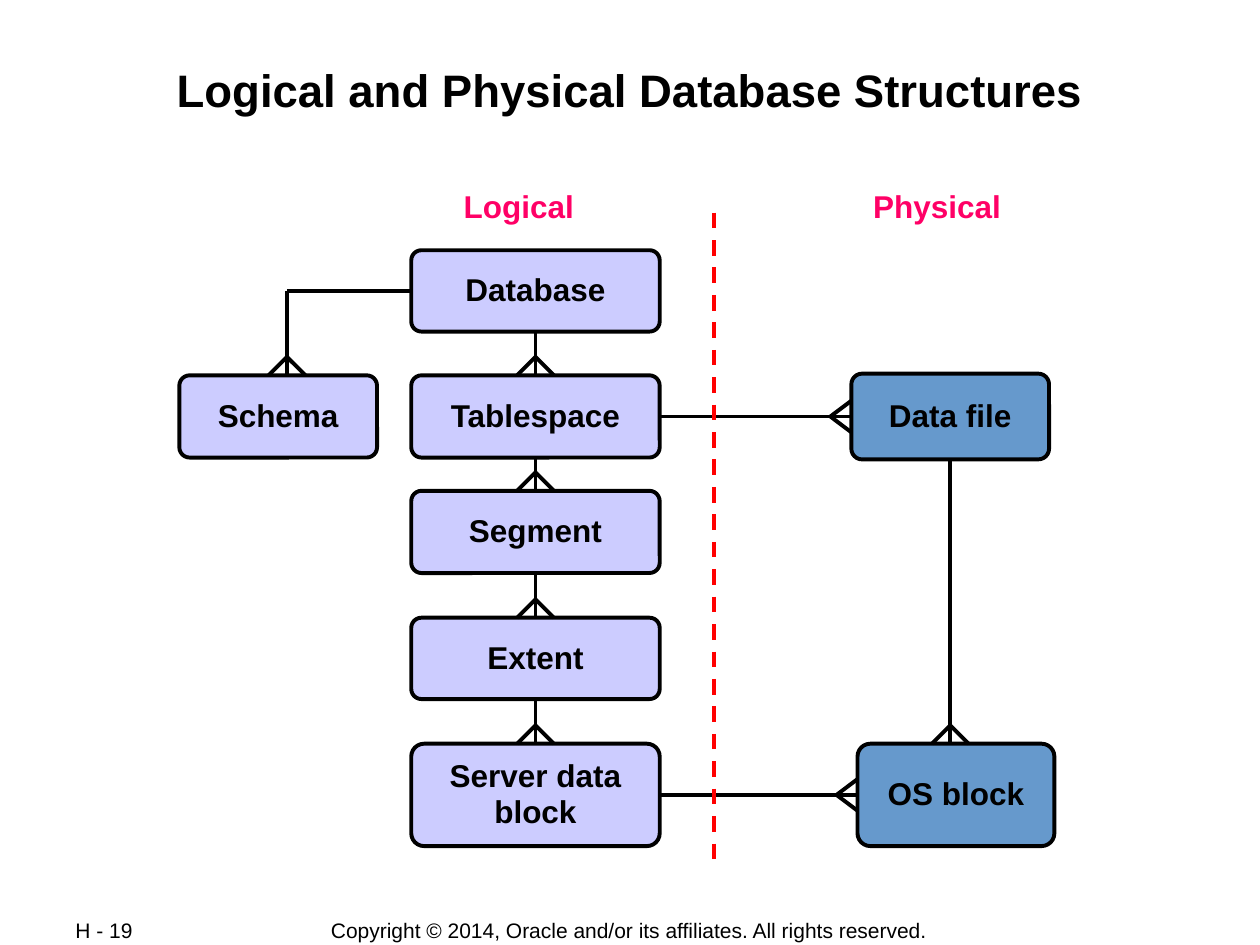
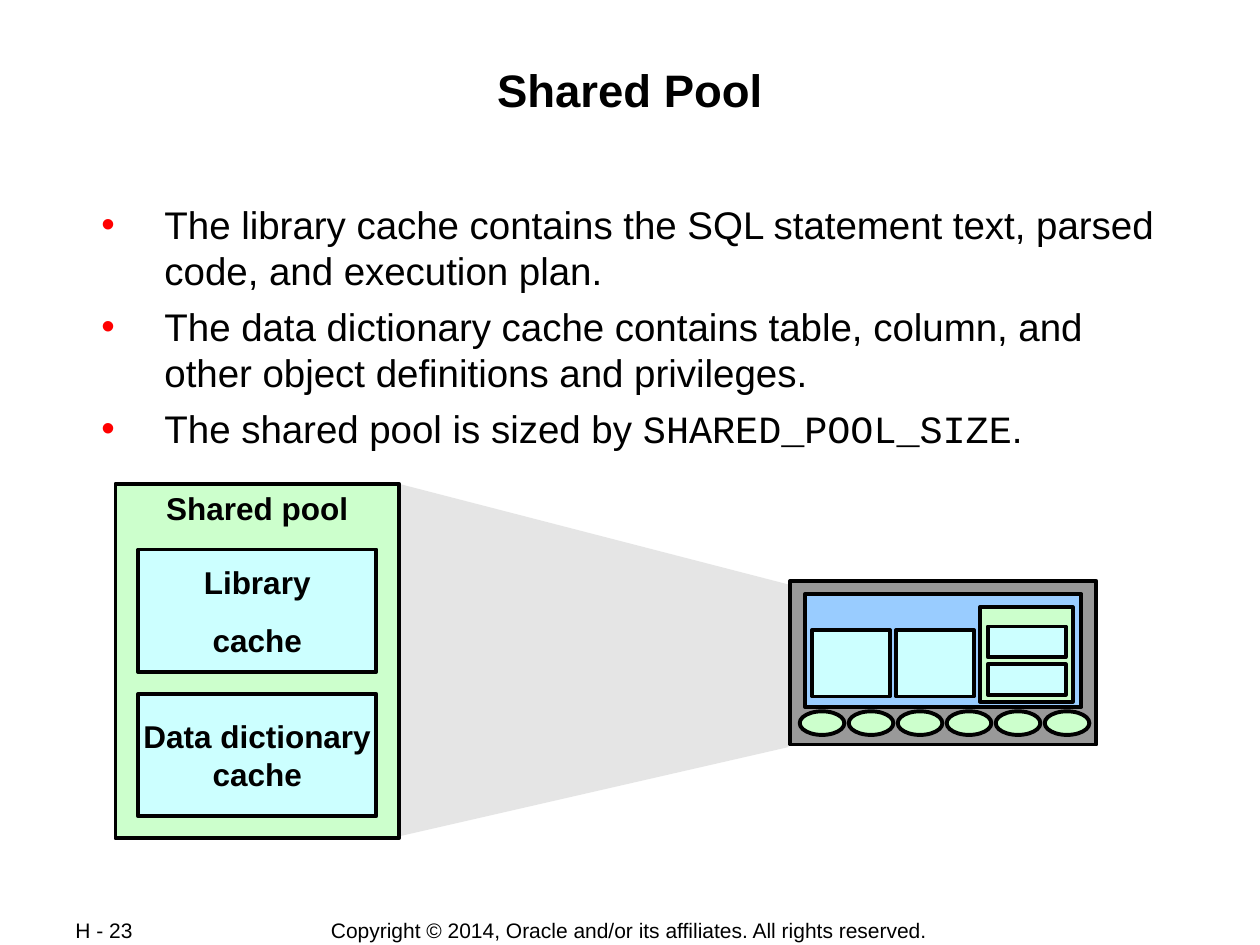
from lxml.etree import SubElement
from pptx import Presentation
from pptx.dml.color import RGBColor
from pptx.enum.dml import MSO_LINE
from pptx.enum.shapes import MSO_CONNECTOR, MSO_SHAPE
from pptx.enum.text import MSO_ANCHOR, MSO_AUTO_SIZE, PP_ALIGN
from pptx.oxml.ns import qn
from pptx.util import Pt

COLORS = {
    "black": "000000", "red": "FF0000", "heading": "FF0066",
    "logical": "CCCCFF", "physical": "6699CC", "beam": "CCCCCC",
    "green": "CCFFCC", "cyan": "CCFFFF", "server": "999999", "memory": "99CCFF",
}
COLORS = {name: RGBColor.from_string(value) for name, value in COLORS.items()}
FONT = "Arial"
LINE_WIDTH = Pt(2.25)


def add_box(shapes, kind, left, top, width, height, fill=None, text="", size=18, bold=True,
            color="black", align=PP_ALIGN.CENTER, anchor=MSO_ANCHOR.MIDDLE, wrap=False,
            spacing=1.0, space_before=0):
    bounds = [Pt(value) for value in (left, top, width, height)]
    if kind is None:
        shape = shapes.add_textbox(*bounds)
    else:
        shape = shapes.add_shape(kind, *bounds)
        shape.shadow.inherit = False
        shape.fill.solid()
        shape.fill.fore_color.rgb = COLORS[fill]
        shape.line.color.rgb = COLORS["black"]
        shape.line.width = LINE_WIDTH
    if text:
        frame = shape.text_frame
        frame.text = text
        frame.word_wrap = wrap
        frame.vertical_anchor = anchor
        for index, paragraph in enumerate(frame.paragraphs):
            paragraph.alignment = align
            paragraph.line_spacing = spacing
            paragraph.space_before = Pt(space_before if index else 0)
            paragraph.font.name = FONT
            paragraph.font.size = Pt(size)
            paragraph.font.bold = bold
            paragraph.font.color.rgb = COLORS[color]
    return shape


def add_line(shapes, x1, y1, x2, y2, color="black"):
    line = shapes.add_connector(MSO_CONNECTOR.STRAIGHT, Pt(x1), Pt(y1), Pt(x2), Pt(y2))
    SubElement(line._element.spPr, qn("a:effectLst"))
    line.line.color.rgb = COLORS[color]
    line.line.width = LINE_WIDTH
    return line


presentation = Presentation()
presentation.slide_width = Pt(720)
presentation.slide_height = Pt(540)

slides = []
for layout_index, title_text, page in [
    (5, "Logical and Physical Database Structures", "H - 19"),
    (1, "Shared Pool", "H - 23"),
]:
    slide = presentation.slides.add_slide(presentation.slide_layouts[layout_index])
    slides.append(slide)
    title = slide.shapes.title
    title.left, title.top, title.width, title.height = Pt(48), Pt(34.5), Pt(624), Pt(69)
    frame = title.text_frame
    frame.text = title_text
    frame.auto_size = MSO_AUTO_SIZE.NONE
    frame.vertical_anchor = MSO_ANCHOR.TOP
    frame.margin_left = frame.margin_right = frame.margin_top = frame.margin_bottom = Pt(1)
    paragraph = frame.paragraphs[0]
    paragraph.alignment = PP_ALIGN.CENTER
    paragraph.font.name = FONT
    paragraph.font.size = Pt(26)
    paragraph.font.bold = True
    paragraph.font.color.rgb = COLORS["black"]
    add_box(slide.shapes, None, 169.5, 524, 380, 15, size=12, bold=False, wrap=True,
            text="Copyright © 2014, Oracle and/or its affiliates. All rights reserved.")
    add_box(slide.shapes, None, 36, 524, 76, 15, text=page, size=12, bold=False,
            align=PP_ALIGN.LEFT, wrap=True)

structure_slide, pool_slide = slides

shapes = structure_slide.shapes
for heading, left, width in [("Logical", 257.5, 78), ("Physical", 491.5, 88)]:
    add_box(shapes, None, left, 106.5, width, 26, text=heading, color="heading",
            anchor=MSO_ANCHOR.TOP, spacing=0.85)

nodes = {}
for name, left, top, width, height, fill in [
    ("Database", 235, 143, 142, 46.5, "logical"),
    ("Tablespace", 235, 214.5, 142, 47, "logical"),
    ("Segment", 235, 280.5, 142, 47, "logical"),
    ("Extent", 235, 353, 142, 46.5, "logical"),
    ("Server data\vblock", 235, 425, 142, 58.5, "logical"),
    ("Schema", 102.5, 214.5, 113, 47, "logical"),
    ("Data file", 486.5, 213.5, 113, 49, "physical"),
    ("OS block", 490, 425, 112.5, 58.5, "physical"),
]:
    node = add_box(shapes, MSO_SHAPE.ROUNDED_RECTANGLE, left, top, width, height, fill, name,
                   spacing=0.95)
    node.adjustments[0] = 0.125
    frame = node.text_frame
    frame.margin_left = frame.margin_right = frame.margin_top = frame.margin_bottom = Pt(3.6)
    nodes[name] = node

database, tablespace, segment, extent, data_block, schema, data_file, os_block = nodes.values()
column = [database, tablespace, segment, extent, data_block]
links = [(upper, 2, lower, 0) for upper, lower in zip(column, column[1:])]
links += [(tablespace, 3, data_file, 1), (data_block, 3, os_block, 1)]
for begin, begin_side, end, end_side in links:
    link = add_line(shapes, 0, 0, 0, 0)
    link.begin_connect(begin, begin_side)
    link.end_connect(end, end_side)

schema_x, file_x = 164, 543
elbow_y = database.top.pt + database.height.pt / 2
add_line(shapes, 235, elbow_y, schema_x, elbow_y).begin_connect(database, 1)
add_line(shapes, schema_x, elbow_y, schema_x, schema.top.pt)
add_line(shapes, file_x, 262.5, file_x, 425).begin_connect(data_file, 2)

crow_feet = [(node.left.pt + node.width.pt / 2, node.top.pt) for node in column[1:]]
crow_feet += [(schema_x, schema.top.pt), (file_x, os_block.top.pt)]
outlines = [[(x - 10.5, y), (x, y - 10.5), (x + 10.5, y)] for x, y in crow_feet]
for node in (data_file, os_block):
    x, y = node.left.pt, node.top.pt + node.height.pt / 2
    outlines.append([(x, y - 9), (x - 12, y), (x, y + 9)])
for outline in outlines:
    points = [(Pt(x), Pt(y)) for x, y in outline]
    builder = shapes.build_freeform(*points[0])
    builder.add_line_segments(points[1:], close=False)
    crow_foot = builder.convert_to_shape()
    crow_foot.shadow.inherit = False
    crow_foot.fill.background()
    crow_foot.line.color.rgb = COLORS["black"]
    crow_foot.line.width = LINE_WIDTH

divider = add_line(shapes, 408, 121.5, 408, 494, "red")
divider.line.dash_style = MSO_LINE.DASH

shapes = pool_slide.shapes
body = pool_slide.placeholders[1]
body.left, body.top, body.width, body.height = Pt(48), Pt(114), Pt(624), Pt(145)
frame = body.text_frame
frame.auto_size = MSO_AUTO_SIZE.NONE
frame.margin_left = frame.margin_right = frame.margin_top = frame.margin_bottom = Pt(1)
frame.text = "\n".join([
    "The library cache contains the SQL statement text, parsed code, and execution plan.",
    "The data dictionary cache contains table, column, and other object definitions and privileges.",
    "The shared pool is sized by ",
])
for index, paragraph in enumerate(frame.paragraphs):
    paragraph.space_before = Pt(5.5 if index else 0)
    properties = paragraph._p.get_or_add_pPr()
    properties.set("marL", str(Pt(45)))
    properties.set("indent", str(-Pt(36)))
    bullet_color = SubElement(properties, qn("a:buClr"))
    SubElement(bullet_color, qn("a:srgbClr"), val=str(COLORS["red"]))
    SubElement(properties, qn("a:buFont"), typeface=FONT)
    SubElement(properties, qn("a:buChar"), char="•")
    paragraph.font.name = FONT
    paragraph.font.size = Pt(22)
    paragraph.font.color.rgb = COLORS["black"]
parameter = paragraph.add_run()
parameter.text = "SHARED_POOL_SIZE"
parameter.font.name = "Courier New"
paragraph.add_run().text = "."

points = [(Pt(x), Pt(y)) for x, y in [(228, 276.5), (228, 478), (450.5, 427), (450.5, 334)]]
builder = shapes.build_freeform(*points[0])
builder.add_line_segments(points[1:])
beam = builder.convert_to_shape()
beam.shadow.inherit = False
beam.fill.solid()
beam.fill.fore_color.rgb = COLORS["beam"]
beam.line.fill.background()
SubElement(beam._element.spPr.find(".//" + qn("a:srgbClr")), qn("a:alpha"), val="50000")

add_box(shapes, MSO_SHAPE.RECTANGLE, 66, 276.5, 162, 202.5, "green")
for text, top in [("Library\ncache", 314), ("Data dictionary\vcache", 396.5)]:
    add_box(shapes, MSO_SHAPE.RECTANGLE, 79, top, 136, 70, "cyan", text, space_before=11.2)
add_box(shapes, None, 72, 276, 150, 29, text="Shared pool", anchor=MSO_ANCHOR.TOP, wrap=True)

server = shapes.add_group_shape().shapes
for left, top, width, height, fill in [
    (451.5, 332, 175, 93.5, "server"),
    (460, 339.5, 158, 64.5, "memory"),
    (464, 360, 44.5, 38, "cyan"),
    (512, 360, 44.5, 38, "cyan"),
    (560, 347, 53, 54, "green"),
    (564.5, 358, 44.5, 17.5, "cyan"),
    (564.5, 379.5, 44.5, 17.5, "cyan"),
]:
    add_box(server, MSO_SHAPE.RECTANGLE, left, top, width, height, fill)
for index in range(6):
    add_box(server, MSO_SHAPE.OVAL, 457 + 28 * index, 406.5, 25.5, 13.5, "green")

presentation.save("out.pptx")
